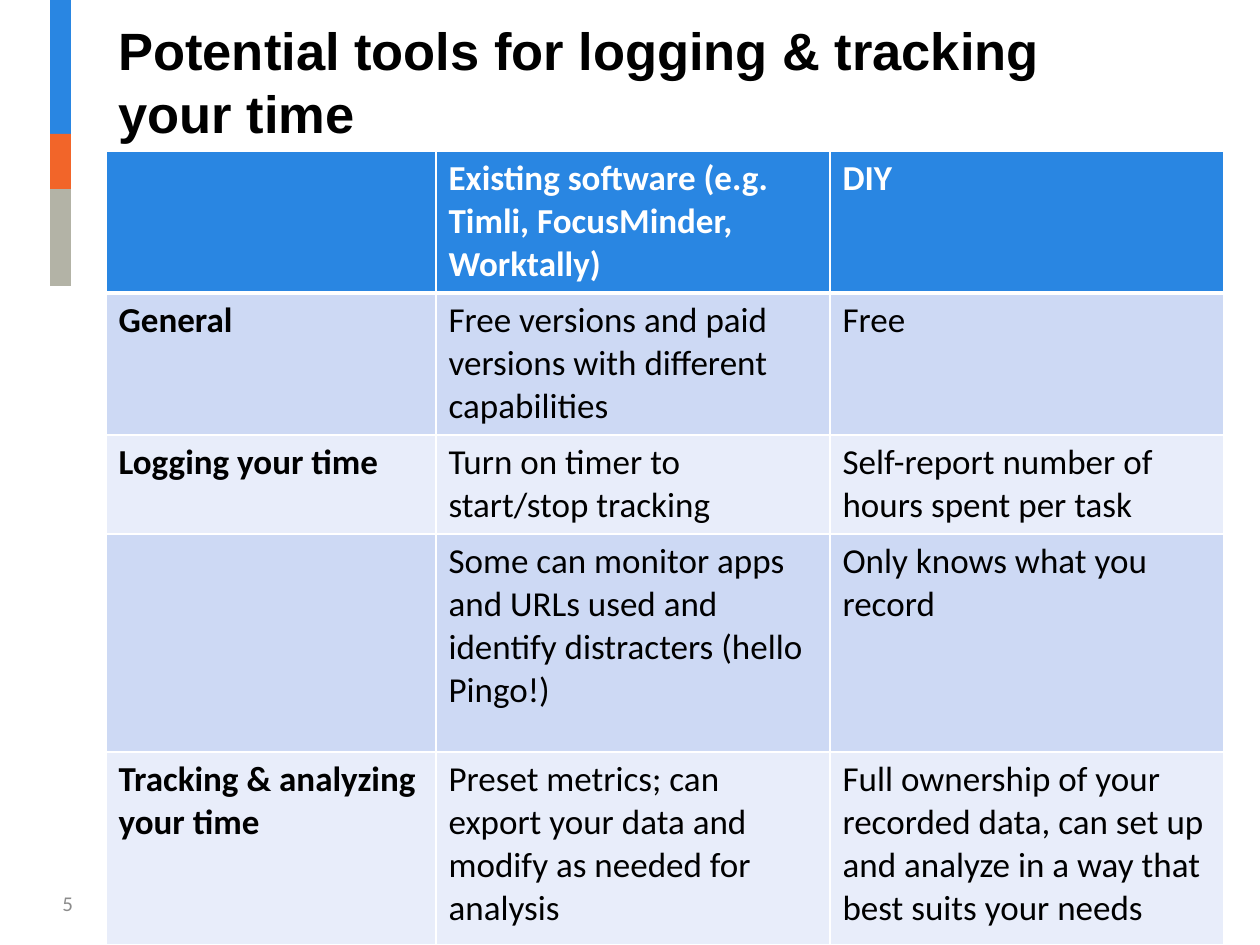
from lxml import etree
from pptx import Presentation
from pptx import util as u
from pptx.dml.color import RGBColor
from pptx.enum import shapes, text
from pptx.oxml import ns

SCALE = 914400 / 126
COLORS = {
    "blue": "2986E2",
    "orange": "F26529",
    "stone": "B3B3A6",
    "band_dark": "CDD9F4",
    "band_light": "E8EDFA",
    "white": "FFFFFF",
    "black": "000000",
    "gray": "8C8C8C",
}
COLUMNS = [330, 394, 394]
ROW_HEIGHTS = [142, 142, 99, 218, 193]
COMPARISON = [
    ["", "Existing software (e.g. Timli, FocusMinder, Worktally)", "DIY"],
    ["General", "Free versions and paid versions with different capabilities", "Free"],
    ["Logging your time", "Turn on timer to start/stop tracking",
     "Self-report number of hours spent per task"],
    ["", "Some can monitor apps and URLs used and identify distracters (hello Pingo!)",
     "Only knows what you record"],
    ["Tracking & analyzing your time",
     "Preset metrics; can export your data and modify as needed for analysis",
     "Full ownership of your recorded data, can set up and analyze in a way that "
     "best suits your needs"],
]


def px(length):
    return u.Emu(round(length * SCALE))


def rgb(name):
    return RGBColor.from_string(COLORS[name])


def write(frame, words, *, size, color="black", font="Calibri", bold=False,
          anchor=text.MSO_ANCHOR.TOP):
    frame.word_wrap = True
    frame.vertical_anchor = anchor
    run = frame.paragraphs[0].add_run()
    run.text = words
    run.font.size = u.Pt(size)
    run.font.name = font
    run.font.bold = bold
    run.font.color.rgb = rgb(color)


def add_words(slide, box, words, **style):
    write(slide.shapes.add_textbox(*map(px, box)).text_frame, words, **style)


def add_stripe(slide, box, segments):
    left, top, width = box
    for color, height in segments:
        segment = slide.shapes.add_shape(
            shapes.MSO_SHAPE.RECTANGLE, *map(px, (left, top, width, height)))
        segment.shadow.inherit = False
        segment.fill.solid()
        segment.fill.fore_color.rgb = rgb(color)
        segment.line.fill.background()
        top += height


def set_borders(cell, widths):
    properties = cell._tc.get_or_add_tcPr()
    for place, (side, points) in enumerate(widths.items()):
        edge = etree.Element(ns.qn(f"a:ln{side}"), w=str(u.Pt(points)))
        fill = etree.SubElement(edge, ns.qn("a:solidFill"))
        etree.SubElement(fill, ns.qn("a:srgbClr"), val=COLORS["white"])
        properties.insert(place, edge)


def add_comparison(slide, box):
    table = slide.shapes.add_table(
        len(COMPARISON), len(COLUMNS), *map(px, box)).table
    for column, width in zip(table.columns, COLUMNS):
        column.width = px(width)
    for r, (row, height) in enumerate(zip(COMPARISON, ROW_HEIGHTS)):
        table.rows[r].height = px(height)
        header = r == 0
        band = "blue" if header else "band_dark" if r % 2 else "band_light"
        for c, words in enumerate(row):
            cell = table.cell(r, c)
            cell.fill.solid()
            cell.fill.fore_color.rgb = rgb(band)
            set_borders(cell, {"L": 1, "R": 1, "T": 3 if r == 1 else 1,
                               "B": 3 if header else 1})
            if words:
                write(cell.text_frame, words, size=20, bold=header or c == 0,
                      color="white" if header else "black")


def main():
    deck = Presentation()
    deck.slide_width, deck.slide_height = px(1260), px(945)
    slide = deck.slides.add_slide(deck.slide_layouts[6])
    add_stripe(slide, (50, 0, 21),
               [("blue", 134), ("orange", 55), ("stone", 97)])
    add_words(slide, (106, 42, 1058, 108),
              "Potential tools for logging & tracking your time",
              size=30, font="Arial", bold=True, anchor=text.MSO_ANCHOR.BOTTOM)
    add_comparison(slide, (106, 151, sum(COLUMNS), sum(ROW_HEIGHTS)))
    add_words(slide, (50, 878, 284, 50), "5", size=12, color="gray",
              anchor=text.MSO_ANCHOR.MIDDLE)
    deck.save("out.pptx")


if __name__ == "__main__":
    main()
